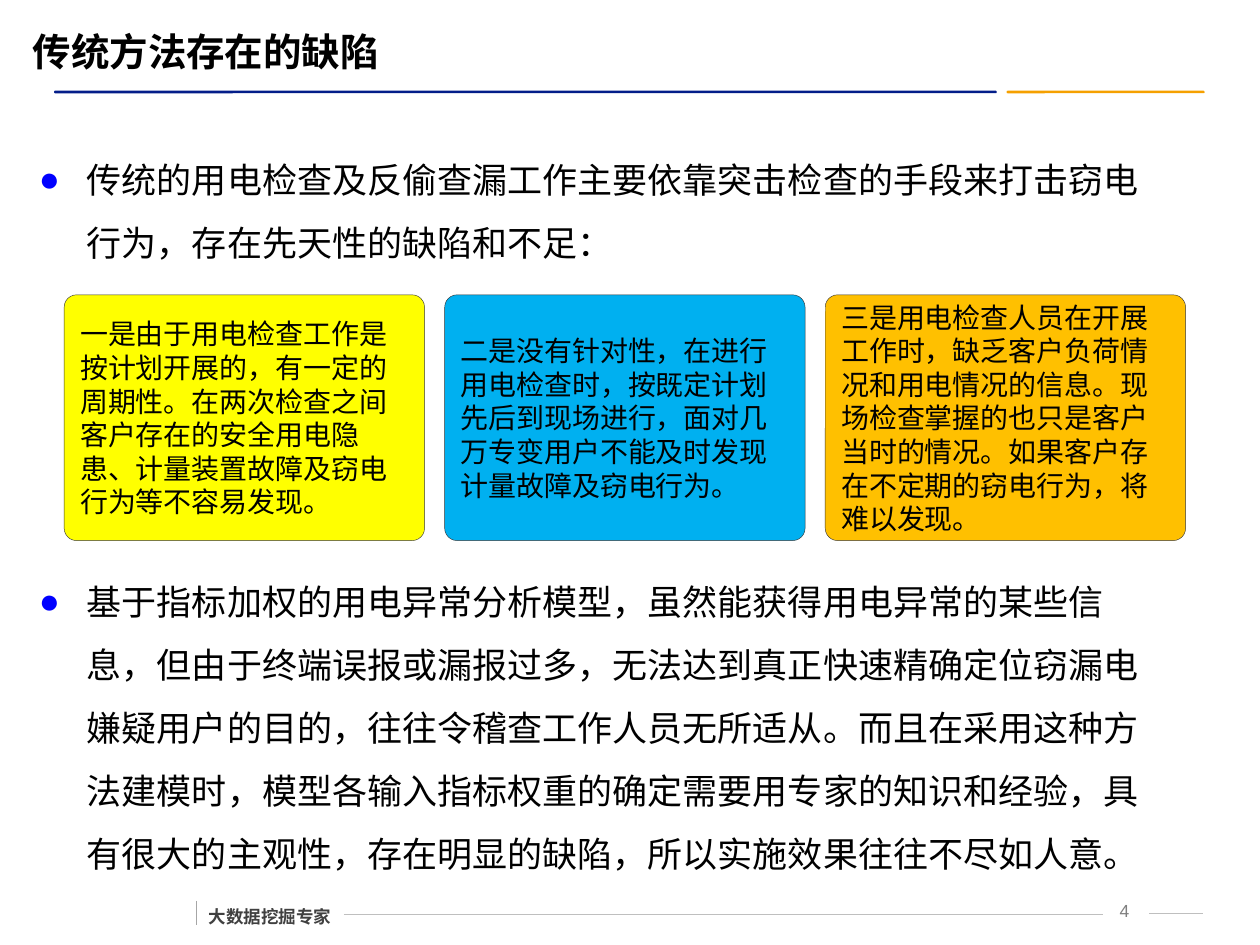
from dataclasses import dataclass

from lxml.etree import SubElement
from pptx import Presentation
from pptx.dml.color import RGBColor
from pptx.enum.shapes import MSO_CONNECTOR, MSO_SHAPE
from pptx.enum.text import MSO_ANCHOR, PP_ALIGN
from pptx.oxml.ns import qn
from pptx.util import Inches, Pt

CHINESE_FONT = "Noto Sans CJK SC"


@dataclass
class Rule:
    left: float
    width: float
    color: str


@dataclass
class Line:
    start: tuple[float, float]
    end: tuple[float, float]
    color: str


@dataclass
class Bullet:
    top: float
    height: float
    text: str


@dataclass
class Card:
    fill: str
    text: str


RULES = [Rule(7.99, 1.57, "F5A000"), Rule(0.43, 7.48, "031D89")]
FOOTER_LINES = [
    Line((2.73, 7.26), (8.75, 7.26), "BFBFBF"),
    Line((9.12, 7.25), (9.55, 7.25), "BFBFBF"),
    Line((1.56, 7.15), (1.56, 7.34), "A6A6A6"),
]
BULLETS = [
    Bullet(1.09, 1, "传统的用电检查及反偷查漏工作主要依靠突击检查的手段来打击窃电行为，存在先天性的缺陷和不足："),
    Bullet(4.44, 2.5, "基于指标加权的用电异常分析模型，虽然能获得用电异常的某些信息，但由于终端误报或漏报过多，"
           "无法达到真正快速精确定位窃漏电嫌疑用户的目的，往往令稽查工作人员无所适从。而且在采用这种方法建模时，"
           "模型各输入指标权重的确定需要用专家的知识和经验，具有很大的主观性，存在明显的缺陷，所以实施效果往往不尽如人意。"),
]
CARDS = [
    Card("FFFF00", "一是由于用电检查工作是按计划开展的，有一定的周期性。在两次检查之间客户存在的安全用电隐患、"
         "计量装置故障及窃电行为等不容易发现。"),
    Card("00B0F0", "二是没有针对性，在进行用电检查时，按既定计划先后到现场进行，面对几万专变用户不能及时发现计量故障及窃电行为。"),
    Card("FFC000", "三是用电检查人员在开展工作时，缺乏客户负荷情况和用电情况的信息。现场检查掌握的也只是客户当时的情况。"
         "如果客户存在不定期的窃电行为，将难以发现。"),
]
CARD_LEFT, CARD_STEP = 0.51, 3.02


def rgb(color: str) -> RGBColor:
    """Turn a hex string into a colour."""
    return RGBColor.from_string(color)


def write(frame, text: str, size: float, color: str = "000000", font: str = "Arial",
          bold: bool = False, align=PP_ALIGN.LEFT):
    """Set one paragraph of text without hanging punctuation and return it."""
    frame.text = text
    para = frame.paragraphs[0]
    para.alignment = align
    para._p.get_or_add_pPr().set("hangingPunct", "0")
    span = para.runs[0]
    span.font.size = Pt(size)
    span.font.bold = bold
    span.font.color.rgb = rgb(color)
    span.font.name = font
    SubElement(span.font._element, qn("a:ea"), typeface=CHINESE_FONT)
    return para


def add_round_box(page, left: float, top: float, width: float, height: float,
                  fill: str, corner: float):
    """Add a filled rounded rectangle without an outline."""
    box = page.shapes.add_shape(MSO_SHAPE.ROUNDED_RECTANGLE, Inches(left), Inches(top),
                                Inches(width), Inches(height))
    box.adjustments[0] = corner
    box.shadow.inherit = False
    box.fill.solid()
    box.fill.fore_color.rgb = rgb(fill)
    box.line.fill.background()
    return box


def add_text_box(page, left: float, top: float, width: float, height: float, wrap: bool = True):
    """Add a text box and return its text frame."""
    box = page.shapes.add_textbox(Inches(left), Inches(top), Inches(width), Inches(height))
    box.text_frame.word_wrap = wrap
    return box.text_frame


def add_line(page, line: Line) -> None:
    """Draw a thin footer line."""
    connector = page.shapes.add_connector(MSO_CONNECTOR.STRAIGHT, *map(Inches, line.start + line.end))
    connector.line.color.rgb = rgb(line.color)
    connector.line.width = Pt(0.75)
    SubElement(connector._element.spPr, qn("a:effectLst"))


def add_bullet(page, bullet: Bullet) -> None:
    """Add a paragraph with a blue round bullet and a hanging indent."""
    frame = add_text_box(page, 0.31, bullet.top, 8.94, bullet.height)
    frame.margin_left = frame.margin_right = frame.margin_top = frame.margin_bottom = 0
    para = write(frame, bullet.text, 20, font=CHINESE_FONT)
    para.line_spacing = 1.5
    properties = para._p.get_or_add_pPr()
    properties.set("marL", str(Inches(0.38)))
    properties.set("indent", str(-Inches(0.38)))
    SubElement(SubElement(properties, qn("a:buClr")), qn("a:srgbClr"), val="0000FF")
    SubElement(properties, qn("a:buFont"), typeface="Arial")
    SubElement(properties, qn("a:buChar"), char="●")


def add_card(page, index: int, card: Card) -> None:
    """Add one coloured card of the row."""
    box = add_round_box(page, CARD_LEFT + index * CARD_STEP, 2.34, 2.86, 1.95, card.fill, 0.05)
    box.line.color.rgb = rgb("373737")
    box.line.width = Pt(0.25)
    box.text_frame.word_wrap = True
    box.text_frame.vertical_anchor = MSO_ANCHOR.MIDDLE
    write(box.text_frame, card.text, 16)


def add_title(page, text: str) -> None:
    """Place and fill the title placeholder."""
    title = page.shapes.title
    title.left, title.top, title.width, title.height = map(Inches, (0.16, 0.17, 9.1, 0.47))
    title.text_frame.vertical_anchor = MSO_ANCHOR.MIDDLE
    write(title.text_frame, text, 22, bold=True)


def main() -> None:
    """Build the slide and save it."""
    deck = Presentation()
    deck.slide_width, deck.slide_height = Inches(10), Inches(7.5)
    page = deck.slides.add_slide(deck.slide_layouts[5])
    add_title(page, "传统方法存在的缺陷")
    for rule in RULES:
        add_round_box(page, rule.left, 0.72, rule.width, 0.02, rule.color, 0.36)
    for line in FOOTER_LINES:
        add_line(page, line)
    write(add_text_box(page, 8.69, 7.09, 0.47, 0.25), "4", 10, "7F7F7F", align=PP_ALIGN.CENTER)
    footer = write(add_text_box(page, 1.56, 7.06, 1.17, 0.35, wrap=False), "大数据挖掘专家", 10,
                   "404040", CHINESE_FONT, bold=True)
    footer.line_spacing = 1.5
    for bullet in BULLETS:
        add_bullet(page, bullet)
    for index, card in enumerate(CARDS):
        add_card(page, index, card)
    deck.save("out.pptx")


if __name__ == "__main__":
    main()
